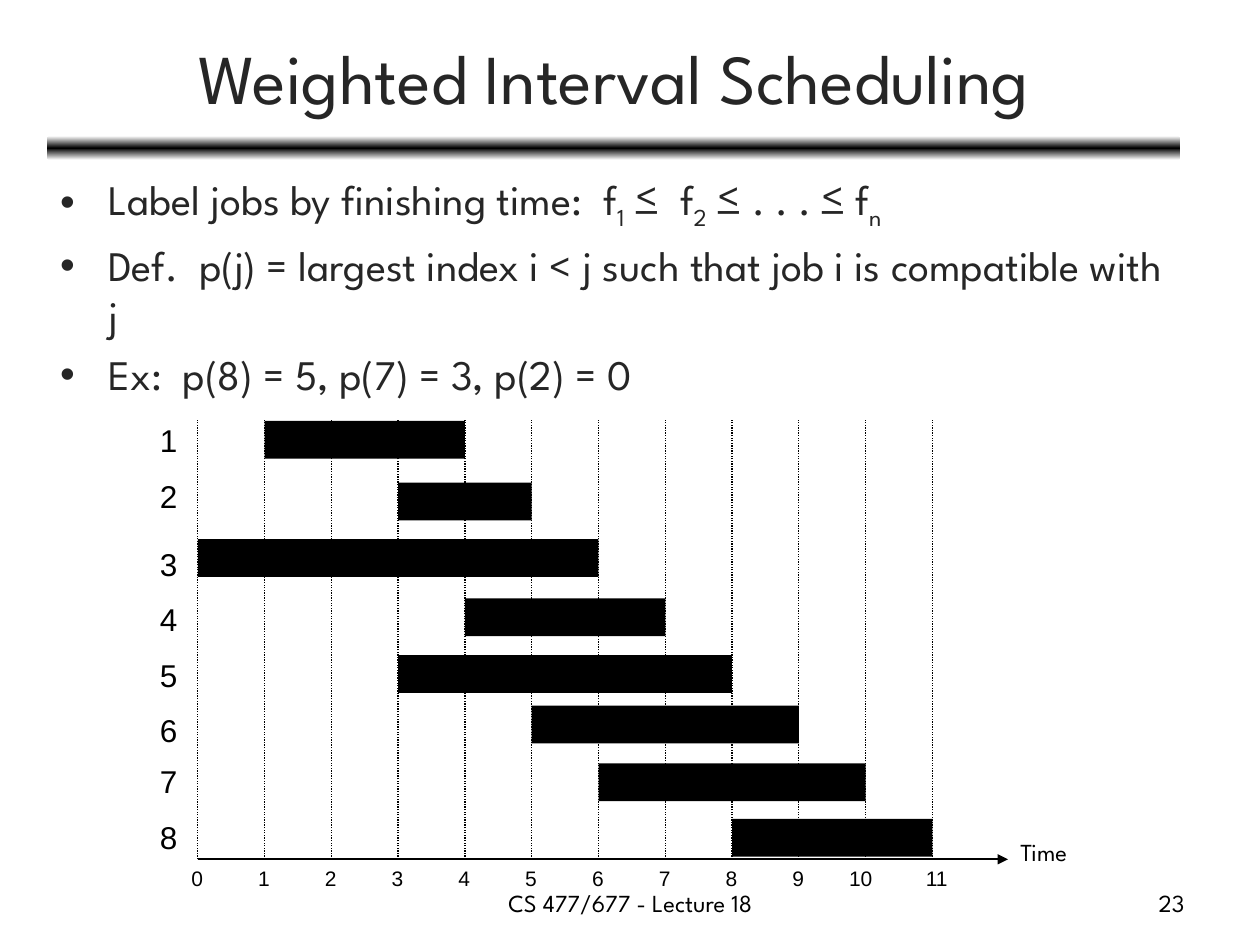
from lxml import etree
from pptx import Presentation
from pptx.dml.color import RGBColor
from pptx.enum import dml, shapes, text
from pptx.oxml.ns import qn
from pptx.util import Inches, Pt

HEADING_FONT = "League Spartan"
CHART_FONT = "Arial"
INK = "262626"
BLACK = "000000"
WHITE = "FFFFFF"
LAST_TIME = 11

# start time, finish time, bar top and label top (inches below the chart top)
JOBS = [
    (1, 4, 0.01, -0.04),
    (3, 5, 0.50, 0.41),
    (0, 6, 0.95, 0.95),
    (4, 7, 1.42, 1.38),
    (3, 8, 1.87, 1.83),
    (5, 9, 2.27, 2.26),
    (6, 10, 2.73, 2.67),
    (8, 11, 3.17, 3.11),
]

# each bullet is a list of (text, is subscript)
BULLETS = [
    [("Label jobs by finishing time:  f", False), ("1  ", True),
     ("≤  f", False), ("2  ", True), ("≤ . . . ≤ f", False), ("n", True)],
    [("Def.  p(j) = largest index i < j such that job i is compatible with j", False)],
    [("Ex:  p(8) = 5, p(7) = 3, p(2) = 0", False)],
]


def color(hex_string):
    return RGBColor.from_string(hex_string)


def add_text(slide, paragraphs, box, size=14, font=HEADING_FONT, ink=BLACK,
             align=text.PP_ALIGN.LEFT, anchor=text.MSO_ANCHOR.TOP,
             wrap=True, before=0, bullet=None):
    """Place text in a box; paragraphs is a string or lists of (text, subscript).

    before is the space above each paragraph in percent of a line.
    """
    if isinstance(paragraphs, str):
        paragraphs = [[(paragraphs, False)]]
    frame = slide.shapes.add_textbox(*map(Inches, box)).text_frame
    frame.word_wrap = wrap
    frame.vertical_anchor = anchor
    for index, runs in enumerate(paragraphs):
        paragraph = frame.add_paragraph() if index else frame.paragraphs[0]
        paragraph.alignment = align
        properties = paragraph._p.get_or_add_pPr()
        if before:
            spacing = etree.SubElement(properties, qn("a:spcBef"))
            etree.SubElement(spacing, qn("a:spcPct"), val=str(before * 1000))
        if bullet:
            properties.set("marL", str(Inches(0.38)))
            properties.set("indent", str(-Inches(0.38)))
            etree.SubElement(properties, qn("a:buFont"), typeface=CHART_FONT)
            etree.SubElement(properties, qn("a:buChar"), char=bullet)
        for words, subscript in runs:
            run = paragraph.add_run()
            run.text = words
            run.font.size = Pt(size)
            run.font.name = font
            run.font.color.rgb = color(ink)
            if subscript:
                run.font._element.set("baseline", "-25000")


def add_block(slide, kind, box):
    block = slide.shapes.add_shape(kind, *map(Inches, box))
    block.shadow.inherit = False
    block.fill.solid()
    block.fill.fore_color.rgb = color(BLACK)
    block.line.fill.background()
    return block


def add_line(slide, start, end, width, dash=None, arrow=False):
    line = slide.shapes.add_connector(
        shapes.MSO_CONNECTOR.STRAIGHT, *map(Inches, (*start, *end)))
    line.line.color.rgb = color(BLACK)
    line.line.width = Pt(width)
    if dash:
        line.line.dash_style = dash
    if arrow:
        etree.SubElement(line.line._get_or_add_ln(), qn("a:tailEnd"), type="triangle")
    etree.SubElement(line._element.spPr, qn("a:effectLst"))


def add_header(slide, left, top, width, height):
    # Rule fading from black at its centre to white at its edges
    rule = add_block(slide, shapes.MSO_SHAPE.ROUNDED_RECTANGLE,
                     (left, top + height - 0.02, width, 0.19))
    rule.fill.gradient()
    rule.fill.gradient_angle = 270
    stops = rule.fill._fill._gradFill.find(qn("a:gsLst"))
    stops.clear()
    for position, shade in ((0, WHITE), (50, BLACK), (100, WHITE)):
        stop = etree.SubElement(stops, qn("a:gs"), pos=str(position * 1000))
        etree.SubElement(stop, qn("a:srgbClr"), val=shade)
    # Title
    add_text(slide, "Weighted Interval Scheduling", (left, top, width, height),
             size=40, ink=INK, align=text.PP_ALIGN.CENTER,
             anchor=text.MSO_ANCHOR.MIDDLE)


def add_schedule(slide, left, top, width, height):
    step = width / LAST_TIME
    bottom = top + height

    # Time axis
    axis_end = left + width + 0.6
    add_line(slide, (left, bottom), (axis_end, bottom), 1.25, arrow=True)
    add_text(slide, "Time", (axis_end, bottom - 0.23, 0.83, 0.34), before=50)

    # Grid lines and time labels; the two-digit 10 sits a little further left
    for time in range(LAST_TIME + 1):
        x = left + time * step
        add_line(slide, (x, bottom), (x, top), 0.75, dash=dml.MSO_LINE.ROUND_DOT)
        nudge = 0.08 if time == 10 else 0
        add_text(slide, str(time), (x - 0.15 - nudge, bottom, 0.45, 0.34),
                 size=12, font=CHART_FONT, before=50)

    # Jobs, numbered by finishing time
    for number, (start, finish, bar_top, label_top) in enumerate(JOBS, 1):
        add_block(slide, shapes.MSO_SHAPE.RECTANGLE,
                  (left + start * step, top + bar_top, (finish - start) * step, 0.3))
        add_text(slide, str(number), (left - 0.4, top + label_top, 0.34, 0.4),
                 size=18, font=CHART_FONT, wrap=False)


def add_footer(slide, left, top, width, height):
    add_text(slide, "CS 477/677 - Lecture 18", (left, top, 3.17, height),
             align=text.PP_ALIGN.CENTER)
    add_text(slide, "23", (left + width - 2.33, top, 2.33, height),
             align=text.PP_ALIGN.RIGHT)


def main():
    deck = Presentation()
    deck.slide_width, deck.slide_height = Inches(10), Inches(7.5)
    slide = deck.slides.add_slide(deck.slide_layouts[6])
    add_header(slide, 0.37, 0.11, 9, 0.99)
    add_text(slide, BULLETS, (0.38, 1.33, 9, 5.55), size=24, ink=INK,
             before=20, bullet="•")
    add_schedule(slide, 1.57, 3.33, 5.83, 3.49)
    add_footer(slide, 3.42, 7, 6.08, 0.35)
    deck.save("out.pptx")


if __name__ == "__main__":
    main()
